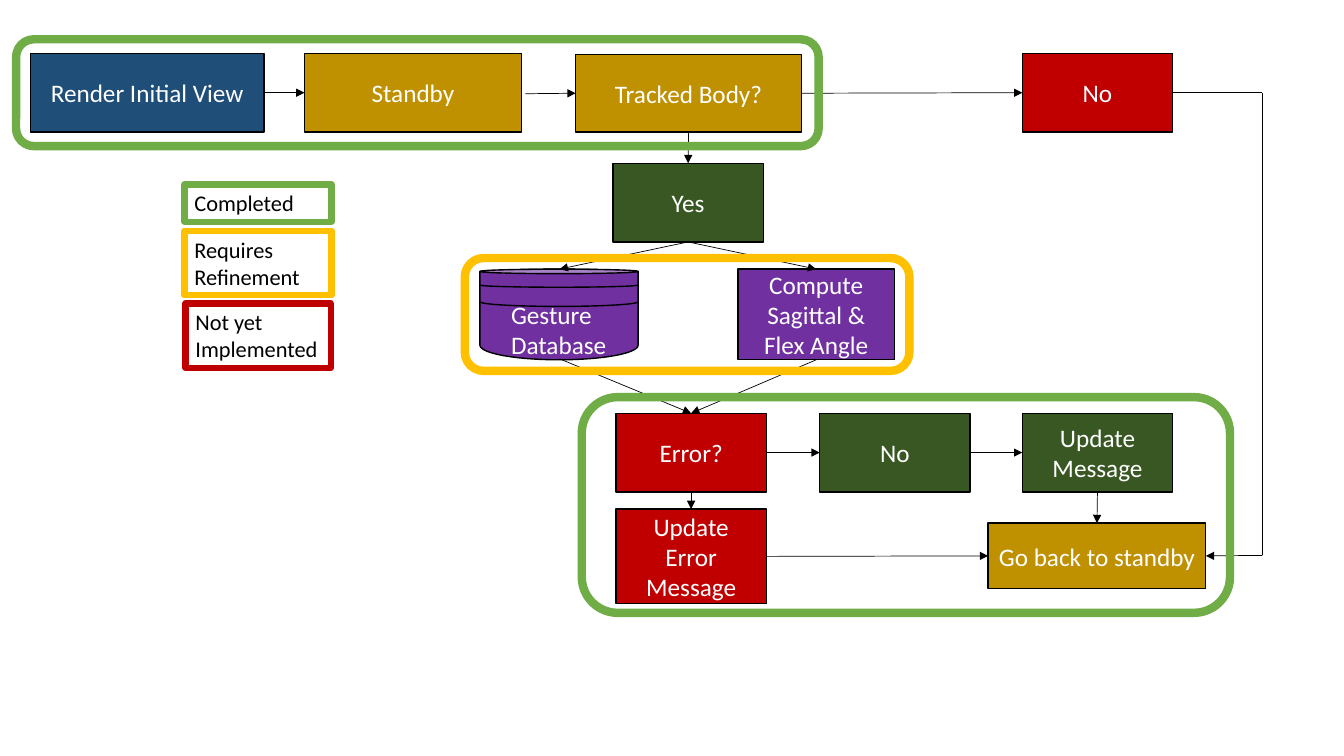
from typing import NamedTuple, Optional, Union

from lxml.etree import SubElement
from pptx import Presentation
from pptx.dml.color import RGBColor
from pptx.enum.shapes import MSO_CONNECTOR as Wire, MSO_SHAPE as Kind
from pptx.enum.text import MSO_ANCHOR as Anchor, MSO_AUTO_SIZE as Fit, PP_ALIGN as Align
from pptx.oxml.ns import qn
from pptx.util import Pt

PX = 9144
FONT = "Calibri"
BLACK = RGBColor(0x00, 0x00, 0x00)
WHITE = RGBColor(0xFF, 0xFF, 0xFF)
GOLD = RGBColor(0xBF, 0x90, 0x00)
BLUE = RGBColor(0x1F, 0x4E, 0x79)
RED = RGBColor(0xC0, 0x00, 0x00)
PINE = RGBColor(0x38, 0x57, 0x23)
PURPLE = RGBColor(0x70, 0x30, 0xA0)
GREEN = RGBColor(0x70, 0xAD, 0x47)
AMBER = RGBColor(0xFF, 0xC0, 0x00)
TOP, LEFT, BOTTOM, RIGHT = range(4)


class Area(NamedTuple):
    x: int
    y: int
    w: int
    h: int


class Step(NamedTuple):
    key: str
    text: str
    area: Area
    fill: RGBColor


class Frame(NamedTuple):
    area: Area
    color: RGBColor


class Label(NamedTuple):
    text: str
    area: Area
    color: RGBColor


class Dot(NamedTuple):
    x: int
    y: int


class Pin(NamedTuple):
    key: str
    side: int


class Link(NamedTuple):
    start: Union[Dot, Pin]
    end: Union[Dot, Pin]
    tip: bool = True


STEPS = [
    Step("render", "Render Initial View", Area(30, 53, 232, 78), BLUE),
    Step("standby", "Standby", Area(302, 53, 215, 78), GOLD),
    Step("tracked", "Tracked Body?", Area(571, 54, 224, 77), GOLD),
    Step("lost", "No", Area(1014, 53, 149, 78), RED),
    Step("yes", "Yes", Area(608, 162, 149, 78), PINE),
    Step("angle", "Compute Sagittal & Flex Angle", Area(732, 267, 155, 90), PURPLE),
    Step("error", "Error?", Area(611, 410, 149, 78), RED),
    Step("clear", "No", Area(813, 410, 149, 78), PINE),
    Step("update", "Update Message", Area(1014, 410, 149, 78), PINE),
    Step("report", "Update Error Message", Area(611, 505, 149, 94), RED),
    Step("back", "Go back to standby", Area(980, 519, 216, 65), GOLD),
]
DISKS = [
    (Kind.FLOWCHART_MAGNETIC_DISK, Area(476, 270, 157, 87)),
    (Kind.CAN, Area(476, 267, 157, 37)),
    (Kind.CAN, Area(476, 267, 157, 18)),
]
LINKS = [
    Link(Pin("render", RIGHT), Pin("standby", LEFT)),
    Link(Dot(521, 93), Pin("tracked", LEFT)),
    Link(Pin("tracked", RIGHT), Pin("lost", LEFT)),
    Link(Pin("tracked", BOTTOM), Pin("yes", TOP)),
    Link(Pin("yes", BOTTOM), Dot(555, 267)),
    Link(Pin("yes", BOTTOM), Pin("angle", TOP)),
    Link(Dot(555, 356), Pin("error", TOP)),
    Link(Pin("angle", BOTTOM), Pin("error", TOP)),
    Link(Pin("error", RIGHT), Pin("clear", LEFT)),
    Link(Pin("clear", RIGHT), Pin("update", LEFT)),
    Link(Pin("error", BOTTOM), Pin("report", TOP)),
    Link(Pin("update", BOTTOM), Pin("back", TOP)),
    Link(Pin("report", RIGHT), Pin("back", LEFT)),
    Link(Pin("lost", RIGHT), Dot(1252, 92), tip=False),
    Link(Dot(1252, 92), Dot(1252, 551), tip=False),
    Link(Dot(1252, 551), Pin("back", RIGHT)),
]
FRAMES = [
    Frame(Area(16, 39, 796, 106), GREEN),
    Frame(Area(461, 256, 441, 112), AMBER),
    Frame(Area(577, 394, 643, 214), GREEN),
]
LABELS = [
    Label("Completed", Area(183, 183, 146, 37), GREEN),
    Label("Requires Refinement", Area(183, 229, 146, 64), AMBER),
    Label("Not yet Implemented", Area(184, 301, 144, 64), RED),
]


def scale(area: Area) -> list[int]:
    return [n * PX for n in area]


def write(shape, text: str, *, size: int = 18, color: RGBColor = WHITE,
          align: Align = Align.LEFT, anchor: Anchor = Anchor.TOP,
          fit: Fit = Fit.NONE) -> None:
    frame = shape.text_frame
    frame.word_wrap = True
    frame.auto_size = fit
    frame.vertical_anchor = anchor
    para = frame.paragraphs[0]
    para.alignment = align
    run = para.add_run()
    run.text = text
    run.font.name = FONT
    run.font.size = Pt(size)
    run.font.color.rgb = color


def draw(shapes, kind: Kind, area: Area, fill: Optional[RGBColor] = None,
         line: RGBColor = BLACK, width: float = 1):
    shape = shapes.add_shape(kind, *scale(area))
    shape.shadow.inherit = False
    if fill is None:
        shape.fill.background()
    else:
        shape.fill.solid()
        shape.fill.fore_color.rgb = fill
    shape.line.color.rgb = line
    shape.line.width = Pt(width)
    return shape


def place(end: Union[Dot, Pin], boxes: dict) -> tuple[int, int]:
    if isinstance(end, Dot):
        return end.x * PX, end.y * PX
    box = boxes[end.key]
    mid_x, mid_y = box.left + box.width // 2, box.top + box.height // 2
    return {
        TOP: (mid_x, box.top),
        LEFT: (box.left, mid_y),
        BOTTOM: (mid_x, box.top + box.height),
        RIGHT: (box.left + box.width, mid_y),
    }[end.side]


def join(shapes, link: Link, boxes: dict) -> None:
    wire = shapes.add_connector(
        Wire.STRAIGHT, *place(link.start, boxes), *place(link.end, boxes))
    if isinstance(link.start, Pin):
        wire.begin_connect(boxes[link.start.key], link.start.side)
    if isinstance(link.end, Pin):
        wire.end_connect(boxes[link.end.key], link.end.side)
    wire.line.color.rgb = BLACK
    wire.line.width = Pt(0.5)
    props = wire._element.spPr
    if link.tip:
        SubElement(props.find(qn("a:ln")), qn("a:tailEnd"), type="triangle")
    SubElement(props, qn("a:effectLst"))


def main() -> None:
    deck = Presentation()
    deck.slide_width, deck.slide_height = 1333 * PX, 750 * PX
    shapes = deck.slides.add_slide(deck.slide_layouts[6]).shapes

    boxes = {}
    for step in STEPS:
        box = draw(shapes, Kind.RECTANGLE, step.area, step.fill)
        write(box, step.text, align=Align.CENTER, anchor=Anchor.MIDDLE)
        boxes[step.key] = box

    store = shapes.add_group_shape()
    for kind, area in DISKS:
        draw(store.shapes, kind, area, PURPLE)
    name = shapes.add_textbox(*scale(Area(497, 292, 122, 71)))
    write(name, "Gesture Database", fit=Fit.SHAPE_TO_FIT_TEXT)

    for link in LINKS:
        join(shapes, link, boxes)
    for frame in FRAMES:
        draw(shapes, Kind.ROUNDED_RECTANGLE, frame.area, line=frame.color, width=6)
    for label in LABELS:
        box = draw(shapes, Kind.RECTANGLE, label.area, WHITE, label.color, 4.5)
        write(box, label.text, size=16, color=BLACK, fit=Fit.SHAPE_TO_FIT_TEXT)

    deck.save("out.pptx")


if __name__ == "__main__":
    main()
